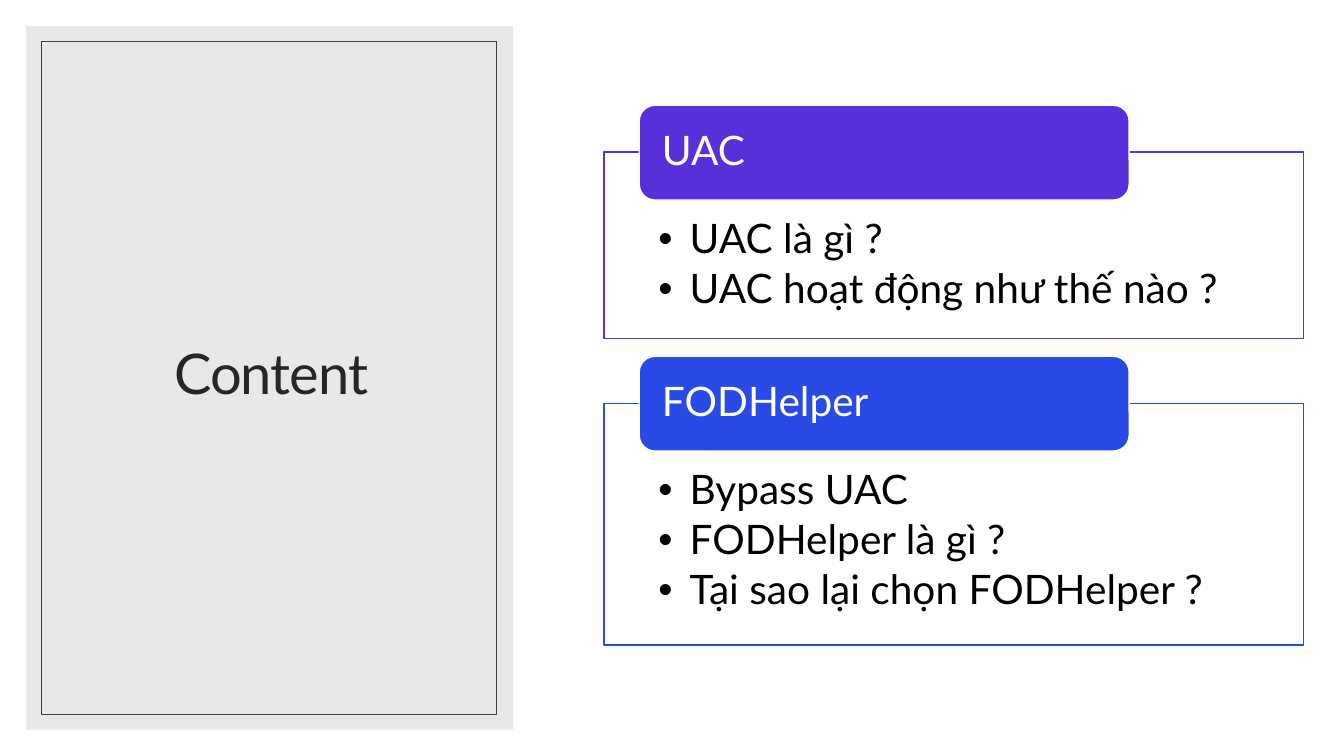
"""Build the content slide: a title panel and two topic boxes with lists."""
from lxml.etree import SubElement
from pptx import Presentation
from pptx.dml.color import RGBColor
from pptx.enum.shapes import MSO_SHAPE
from pptx.enum.text import MSO_ANCHOR, MSO_AUTO_SIZE, PP_ALIGN
from pptx.oxml.ns import qn
from pptx.util import Inches, Pt

RECT, ROUND = MSO_SHAPE.RECTANGLE, MSO_SHAPE.ROUNDED_RECTANGLE
TOP, MIDDLE = MSO_ANCHOR.TOP, MSO_ANCHOR.MIDDLE
LEFT, CENTER = PP_ALIGN.LEFT, PP_ALIGN.CENTER
FIXED = MSO_AUTO_SIZE.NONE
WHITE = RGBColor(0xFF, 0xFF, 0xFF)
BLACK = RGBColor(0x00, 0x00, 0x00)
GREY = RGBColor(0xD9, 0xD9, 0xD9)
DARK = RGBColor(0x26, 0x26, 0x26)
EDGE = RGBColor(0x40, 0x40, 0x40)
PURPLE = RGBColor(0x59, 0x2F, 0xD9)
BLUE = RGBColor(0x29, 0x4A, 0xE7)

TITLE = {"size": Pt(40), "name": "Lato"}
TEXT = {"size": Pt(29), "name": "Lato"}
HEAD = {"alignment": CENTER, "line_spacing": 0.9}
LABEL = {"alignment": LEFT, "line_spacing": 0.9}
ITEM = {"alignment": LEFT, "line_spacing": 0.9,
        "space_before": Pt(0), "space_after": Pt(4.35)}
BODY = {"margin_left": Inches(0.54), "margin_right": Inches(0.54),
        "margin_top": Inches(0.66), "margin_bottom": Inches(0.23),
        "vertical_anchor": TOP, "word_wrap": True, "auto_size": FIXED}
TAB = {"margin_left": Inches(0.18), "margin_right": Inches(0.18),
       "margin_top": 0, "margin_bottom": 0,
       "vertical_anchor": MIDDLE, "word_wrap": True}
TOPICS = [
    ("UAC", PURPLE, 1.51, 1.85, ["UAC là gì ?", "UAC hoạt động như thế nào ?"]),
    ("FODHelper", BLUE, 4, 2.4,
     ["Bypass UAC", "FODHelper là gì ?", "Tại sao lại chọn FODHelper ?"]),
]


def apply(item, values):
    for key, value in values.items():
        setattr(item, key, value)


def write(para, text, layout, font, color):
    run = para.add_run()
    run.text = text
    apply(para, layout)
    apply(run.font, font)
    run.font.color.rgb = color


deck = Presentation()
apply(deck, {"slide_width": Inches(13.33), "slide_height": Inches(7.5)})
slide = deck.slides.add_slide(deck.slide_layouts[3])
shapes = slide.shapes
title, *lists = slide.placeholders

panel = shapes.add_shape(RECT, Inches(0.26), Inches(0.26), Inches(4.83), Inches(6.98))
panel.shadow.inherit = False
panel.fill.solid()
panel.fill.fore_color.rgb = GREY
panel.line.fill.background()
tint = panel.element.xpath("./p:spPr/a:solidFill/a:srgbClr")[0]
SubElement(tint, qn("a:alpha"), val="60000")
title.element.addprevious(panel.element)

apply(title, {"left": Inches(0.63), "top": Inches(0.61),
              "width": Inches(4.12), "height": Inches(6.24)})
apply(title.text_frame, {"vertical_anchor": MIDDLE, "auto_size": FIXED, "word_wrap": True})
write(title.text_frame.paragraphs[0], "Content", HEAD, TITLE, DARK)
title.element.xpath(".//a:rPr")[0].set("spc", "-70")

frame = shapes.add_shape(RECT, Inches(0.41), Inches(0.41), Inches(4.51), Inches(6.68))
frame.shadow.inherit = False
frame.fill.background()
frame.line.color.rgb = EDGE
frame.line.width = Pt(0.5)

for box, (name, color, top, height, items) in zip(lists, TOPICS):
    apply(box, {"left": Inches(5.99), "top": Inches(top),
                "width": Inches(6.94), "height": Inches(height)})
    apply(box.text_frame, BODY)
    for row, text in enumerate(items):
        para = box.text_frame.add_paragraph() if row else box.text_frame.paragraphs[0]
        props = para._p.get_or_add_pPr()
        props.set("marL", str(Inches(0.31)))
        props.set("indent", str(Inches(-0.31)))
        SubElement(props, qn("a:buChar"), char="•")
        write(para, text, ITEM, TEXT, BLACK)

    tab = shapes.add_shape(ROUND, Inches(6.34), Inches(top - 0.465), Inches(4.86), Inches(0.94))
    tab.shadow.inherit = False
    apply(tab.text_frame, TAB)
    write(tab.text_frame.paragraphs[0], name, LABEL, TEXT, WHITE)

    for shape, fill, line in ((box, WHITE, color), (tab, color, WHITE)):
        shape.fill.solid()
        shape.fill.fore_color.rgb = fill
        shape.line.color.rgb = line
        shape.line.width = Pt(1)

deck.save("out.pptx")
